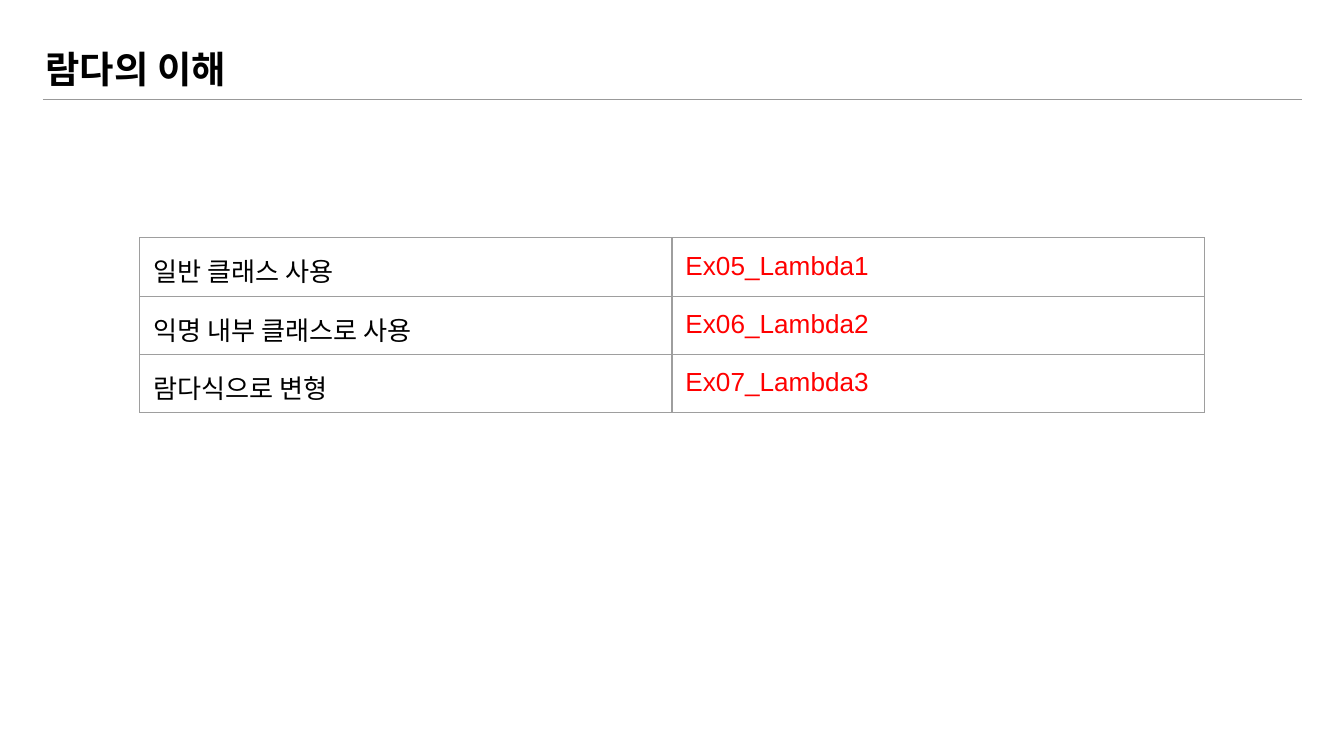
from dataclasses import dataclass

from lxml.etree import SubElement as Sub
from pptx import Presentation as Deck
from pptx.dml.color import RGBColor as Color
from pptx.enum.shapes import MSO_CONNECTOR as Link
from pptx.enum.text import MSO_ANCHOR as Anchor
from pptx.oxml.ns import qn
from pptx.util import Inches, Pt


@dataclass(frozen=True)
class Theme:
    """Colours, faces and sizes of the slide."""
    ink: str = "000000"
    mark: str = "FF0000"
    rule: str = "999999"
    grid: str = "9E9E9E"
    head: str = "Noto Sans CJK KR"
    body: str = "Arial"
    big: int = 20
    small: int = 14
    thin: float = 0.75
    pad: float = 0.1


LOOK = Theme()
WIDE = Inches(10)
HIGH = WIDE * 9 // 16
ROWS = [
    ("일반 클래스 사용", "Ex05_Lambda1"),
    ("익명 내부 클래스로 사용", "Ex06_Lambda2"),
    ("람다식으로 변형", "Ex07_Lambda3"),
]


def style(para, face, size, tint, bold=False):
    """Set the type of a paragraph, Korean letters included."""
    font = para.font
    font.name, font.size, font.bold = face, Pt(size), bold
    font.color.rgb = Color.from_string(tint)
    Sub(para._p.pPr.find(qn("a:defRPr")), qn("a:ea"), typeface=LOOK.head)


def inset(item):
    """Give a cell or a text frame even margins."""
    item.margin_left = item.margin_right = Inches(LOOK.pad)
    item.margin_top = item.margin_bottom = Inches(LOOK.pad)


def add_title(slide, text):
    """Write the slide's heading."""
    box = slide.shapes.add_textbox(Inches(0.24), Inches(0.24), Inches(8.22), Inches(0.54))
    frame = box.text_frame
    frame.word_wrap = True
    frame.vertical_anchor = Anchor.MIDDLE
    inset(frame)
    frame.text = text
    style(frame.paragraphs[0], LOOK.head, LOOK.big, LOOK.ink, True)


def add_rule(slide):
    """Draw the thin line under the heading."""
    y = Inches(0.74)
    line = slide.shapes.add_connector(Link.STRAIGHT, Inches(0.32), y, Inches(9.69), y)
    line.line.color.rgb = Color.from_string(LOOK.rule)
    line.line.width = Pt(LOOK.thin)
    Sub(line._element.spPr, qn("a:effectLst"))


def frame_cell(cell):
    """Draw the four borders of a cell and clear its fill."""
    props = cell._tc.get_or_add_tcPr()
    for side in "LRTB":
        edge = Sub(props, qn(f"a:ln{side}"), w=str(Pt(LOOK.thin)))
        Sub(Sub(edge, qn("a:solidFill")), qn("a:srgbClr"), val=LOOK.grid)
    cell.fill.background()


def add_grid(slide, rows):
    """Build the table of topics and their examples."""
    cols, tall = len(rows[0]), Inches(0.42)
    wide = cols * Inches(3.96)
    left = (WIDE - wide) // 2
    table = slide.shapes.add_table(
        len(rows), cols, left, Inches(1.77), wide, tall * len(rows)).table
    table.first_row = table.horz_banding = False
    for r, row in enumerate(rows):
        for c, (text, tint) in enumerate(zip(row, (LOOK.ink, LOOK.mark))):
            cell = table.cell(r, c)
            inset(cell)
            cell.text = text
            style(cell.text_frame.paragraphs[0], LOOK.body, LOOK.small, tint)
            frame_cell(cell)


def main():
    """Build and save the slide."""
    deck = Deck()
    deck.slide_width, deck.slide_height = WIDE, HIGH
    slide = deck.slides.add_slide(deck.slide_layouts[6])
    add_title(slide, "람다의 이해")
    add_rule(slide)
    add_grid(slide, ROWS)
    deck.save("out.pptx")


if __name__ == "__main__":
    main()
